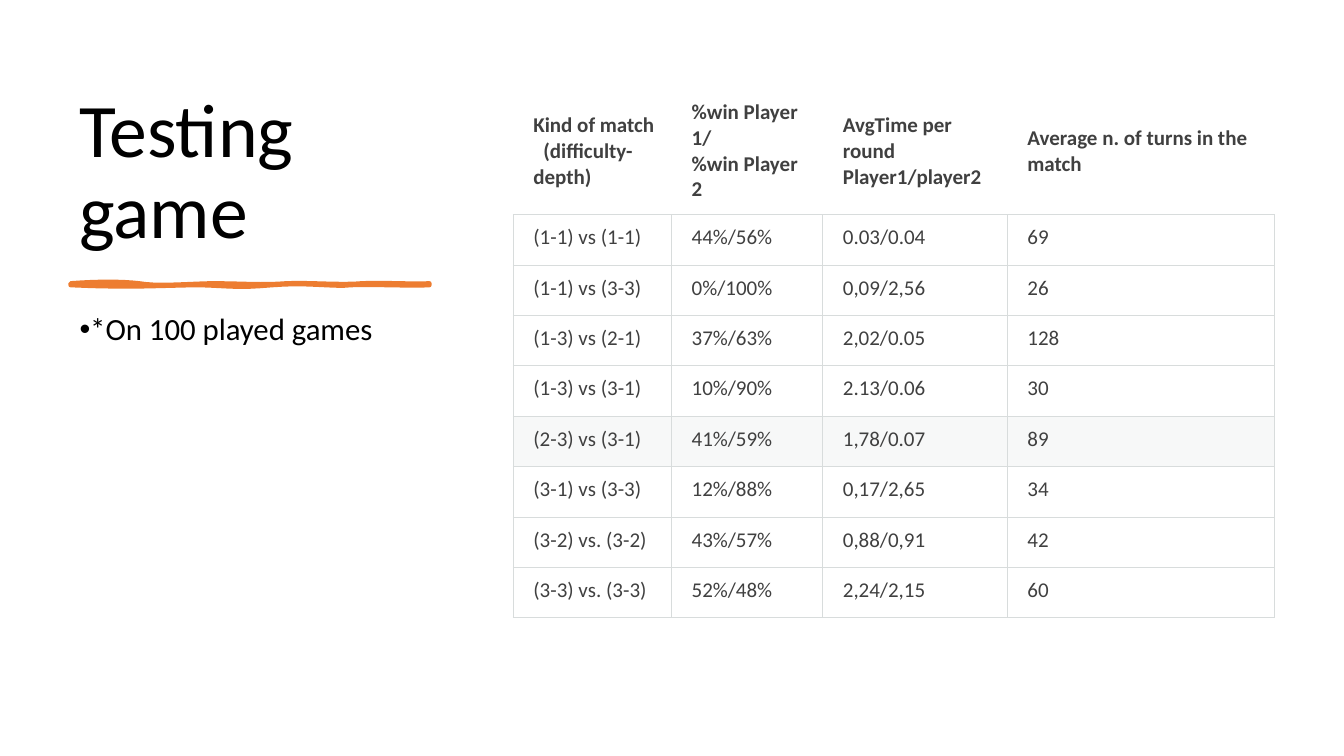
from lxml.etree import SubElement
from pptx import Presentation
from pptx.dml.color import RGBColor
from pptx.enum.text import MSO_ANCHOR
from pptx.oxml import parse_xml
from pptx.oxml.ns import nsdecls, qn
from pptx.util import Inches, Pt

FONT = "Calibri"
BLACK, GREY, ORANGE = "000000", "404040", "ED7D31"
BORDER, HIGHLIGHT = "D8DCDC", "D8DEDC"
COLUMN_WIDTHS = [1.57, 1.5, 1.83, 2.65]
HEADER_HEIGHT, ROW_HEIGHT = 1.26, 0.5
HIGHLIGHTED_ROW = 5
HEADERS = [
    "Kind of match\n(difficulty-depth)",
    "%win Player 1/\n%win Player 2",
    "AvgTime per round Player1/player2",
    "Average n. of turns in the match",
]
MATCHES = [
    ["(1-1) vs (1-1)", "44%/56%", "0.03/0.04", "69"],
    ["(1-1) vs (3-3)", "0%/100%", "0,09/2,56", "26"],
    ["(1-3) vs (2-1)", "37%/63%", "2,02/0.05", "128"],
    ["(1-3) vs (3-1)", "10%/90%", "2.13/0.06", "30"],
    ["(2-3) vs (3-1)", "41%/59%", "1,78/0.07", "89"],
    ["(3-1) vs (3-3)", "12%/88%", "0,17/2,65", "34"],
    ["(3-2) vs. (3-2)", "43%/57%", "0,88/0,91", "42"],
    ["(3-3) vs. (3-3)", "52%/48%", "2,24/2,15", "60"],
]
STROKE_START = (0.7, 2.81)
OUTLINE_CURVES = [
    [(0.97, 2.79), (1.21, 2.79), (1.38, 2.81)],
    [(1.55, 2.84), (1.77, 2.82), (2.09, 2.81)],
    [(2.41, 2.81), (2.6, 2.83), (2.84, 2.81)],
    [(3.08, 2.8), (3.39, 2.83), (3.59, 2.81)],
    [(3.79, 2.8), (4.12, 2.82), (4.26, 2.81)],
    [(4.26, 2.82), (4.26, 2.83), (4.26, 2.83)],
    [(4.08, 2.84), (3.64, 2.82), (3.48, 2.83)],
    [(3.32, 2.85), (3.04, 2.8), (2.7, 2.83)],
    [(2.35, 2.86), (2.31, 2.84), (1.99, 2.83)],
    [(1.66, 2.83), (1.32, 2.86), (0.7, 2.83)],
]
CURVE_STEPS = 8


def color(hex_value):
    """Return the RGB colour for a hex string."""
    return RGBColor.from_string(hex_value)


def format_runs(paragraph, size, hex_value, bold=False):
    """Apply font settings to every run of a paragraph."""
    for run in paragraph.runs:
        run.font.name = FONT
        run.font.size = Pt(size)
        run.font.bold = bold
        run.font.color.rgb = color(hex_value)


def add_text(slide, text, left, top, width, height, size, anchor):
    """Add a wrapped text box and return its paragraph."""
    shape = slide.shapes.add_textbox(
        Inches(left), Inches(top), Inches(width), Inches(height))
    shape.text_frame.word_wrap = True
    shape.text_frame.vertical_anchor = anchor
    shape.text_frame.text = text
    paragraph = shape.text_frame.paragraphs[0]
    paragraph.line_spacing = 0.9
    format_runs(paragraph, size, BLACK)
    return paragraph


def add_bullet(paragraph):
    """Give a paragraph a round bullet with a hanging indent."""
    properties = paragraph._p.get_or_add_pPr()
    properties.set("marL", "0")
    properties.set("indent", str(Inches(-0.25)))
    SubElement(properties, qn("a:buFont")).set("typeface", "Arial")
    SubElement(properties, qn("a:buChar")).set("char", "•")


def curve_points(start, curves):
    """Return points sampled along a chain of cubic curves."""
    points = []
    for first, second, end in curves:
        for step in range(1, CURVE_STEPS + 1):
            t = step / CURVE_STEPS
            weights = [(1 - t) ** 3, 3 * t * (1 - t) ** 2, 3 * t * t * (1 - t), t ** 3]
            controls = [start, first, second, end]
            points.append(tuple(
                Inches(sum(w * point[axis] for w, point in zip(weights, controls)))
                for axis in (0, 1)))
        start = end
    return points


def add_brush_stroke(slide):
    """Draw the wavy orange rule under the title."""
    x, y = STROKE_START
    builder = slide.shapes.build_freeform(Inches(x), Inches(y))
    builder.add_line_segments(curve_points(STROKE_START, OUTLINE_CURVES), close=True)
    shape = builder.convert_to_shape()
    shape.shadow.inherit = False
    shape.fill.solid()
    shape.fill.fore_color.rgb = color(ORANGE)
    shape.line.color.rgb = color(ORANGE)
    shape.line.width = Pt(3)
    SubElement(shape.line._get_or_add_ln(), qn("a:round"))


def set_borders(cell, visible_sides):
    """Draw thin borders on the given sides and hide the others."""
    properties = cell._tc.get_or_add_tcPr()
    for index, side in enumerate("LRTB"):
        fill = "<a:noFill/>"
        if side in visible_sides:
            fill = f'<a:solidFill><a:srgbClr val="{BORDER}"/></a:solidFill>'
        properties.insert(index, parse_xml(
            f'<a:ln{side} {nsdecls("a")} w="{Pt(0.75)}">{fill}</a:ln{side}>'))


def fill_cell(cell, highlighted):
    """Tint a highlighted cell and leave any other cell clear."""
    if not highlighted:
        cell.fill.background()
        return
    cell.fill.solid()
    cell.fill.fore_color.rgb = color(HIGHLIGHT)
    tint = cell._tc.tcPr.find(qn("a:solidFill")).find(qn("a:srgbClr"))
    SubElement(tint, qn("a:alpha")).set("val", "20000")


def add_results_table(slide):
    """Add the table of match results."""
    rows = [HEADERS] + MATCHES
    table = slide.shapes.add_table(
        len(rows), len(HEADERS), Inches(5.09), Inches(0.87),
        Inches(sum(COLUMN_WIDTHS)),
        Inches(HEADER_HEIGHT + ROW_HEIGHT * len(MATCHES))).table
    table.horz_banding = False
    for column, width in zip(table.columns, COLUMN_WIDTHS):
        column.width = Inches(width)
    for row_index, values in enumerate(rows):
        is_header = row_index == 0
        table.rows[row_index].height = Inches(HEADER_HEIGHT if is_header else ROW_HEIGHT)
        for column_index, value in enumerate(values):
            cell = table.cell(row_index, column_index)
            cell.text_frame.text = value
            cell.margin_left = Inches(0.2)
            cell.margin_right = cell.margin_top = cell.margin_bottom = Inches(0.1)
            cell.vertical_anchor = MSO_ANCHOR.MIDDLE if is_header else MSO_ANCHOR.TOP
            for paragraph in cell.text_frame.paragraphs:
                format_runs(paragraph, 15, GREY, is_header)
            set_borders(cell, "B" if is_header else "LRTB")
            fill_cell(cell, row_index == HIGHLIGHTED_ROW)
    difficulty = table.cell(0, 0).text_frame.paragraphs[1]
    difficulty._p.get_or_add_pPr().set("indent", str(Inches(0.1)))


def main():
    """Build the slide and save it."""
    presentation = Presentation()
    presentation.slide_width = Inches(13.33)
    presentation.slide_height = Inches(7.5)
    slide = presentation.slides.add_slide(presentation.slide_layouts[6])
    add_text(slide, "Testing game", 0.69, 0.7, 3.75, 1.88, 54, MSO_ANCHOR.BOTTOM)
    add_brush_stroke(slide)
    note = add_text(
        slide, "*On 100 played games", 0.69, 3.07, 3.75, 3.73, 22, MSO_ANCHOR.TOP)
    note.space_after = Pt(6)
    add_bullet(note)
    add_results_table(slide)
    presentation.save("out.pptx")


if __name__ == "__main__":
    main()
